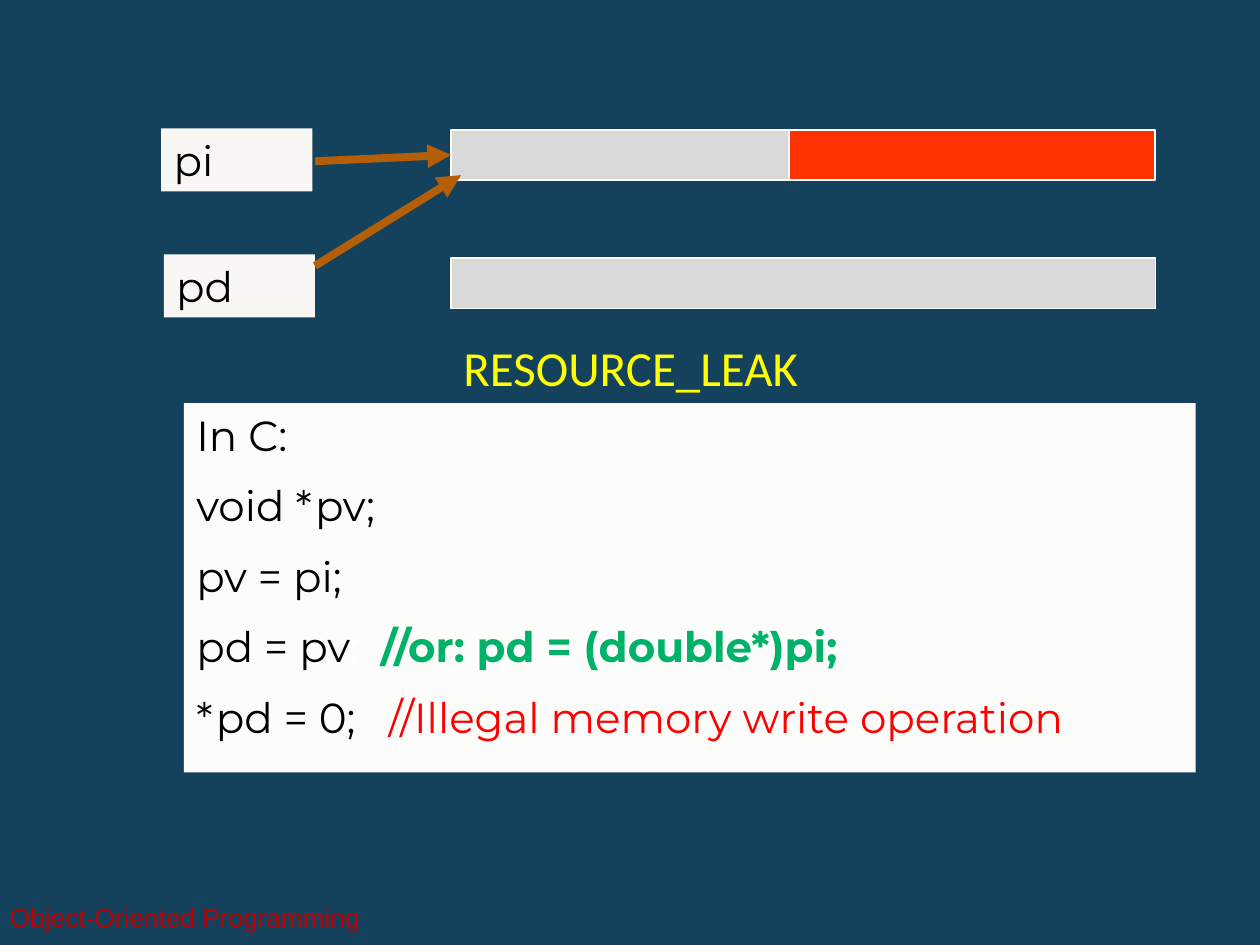
import pptx
import pptx.dml.color
import pptx.enum.shapes
import pptx.enum.text
import pptx.oxml
import pptx.oxml.ns
import pptx.util

COLORS = {
    "background": "14425D", "pointer": "F8F7F4", "memory": "D9D9D9",
    "overrun": "FF3300", "border": "FFFFFF", "arrow": "B45F07",
    "footer": "C00000", "heading": "FFFF00", "panel": "FCFCFA",
    "code": "000000", "faint": "FFFFFF", "valid": "00B16A", "illegal": "FF0000",
}

deck = pptx.Presentation()
deck.slide_width = pptx.util.Inches(10)
deck.slide_height = pptx.util.Inches(7.5)
COLUMN = deck.slide_width / 100
ROW = deck.slide_height / 75


def rgb(name):
    return pptx.dml.color.RGBColor.from_string(COLORS[name])


def add_block(column, row, columns, rows, fill=None, border=None, lines=(),
              font="Montserrat", size=24, anchor="MIDDLE"):
    """Add a rectangle on the grid; each line is a list of (text, color, bold)."""
    box = (int(column * COLUMN), int(row * ROW), int(columns * COLUMN), int(rows * ROW))
    if fill:
        block = slide.shapes.add_shape(pptx.enum.shapes.MSO_SHAPE.RECTANGLE, *box)
        block.shadow.inherit = False
        block.fill.solid()
        block.fill.fore_color.rgb = rgb(fill)
        if border:
            block.line.color.rgb = rgb(border)
            block.line.width = pptx.util.Pt(1)
        else:
            block.line.fill.background()
    else:
        block = slide.shapes.add_textbox(*box)
    frame = block.text_frame
    frame.word_wrap = True
    frame.vertical_anchor = pptx.enum.text.MSO_ANCHOR[anchor]
    for number, line in enumerate(lines):
        paragraph = frame.add_paragraph() if number else frame.paragraphs[0]
        paragraph.alignment = pptx.enum.text.PP_ALIGN.LEFT
        if number:
            paragraph.space_before = pptx.util.Pt(11.5)
        for text, color, bold in line:
            run = paragraph.add_run()
            run.text = text
            run.font.name = font
            run.font.size = pptx.util.Pt(size)
            run.font.bold = bold
            run.font.color.rgb = rgb(color)


slide = deck.slides.add_slide(deck.slide_layouts[6])
slide.background.fill.solid()
slide.background.fill.fore_color.rgb = rgb("background")

# Pointers
for pointer, column, row in (("pi", 12.8, 10.2), ("pd", 13, 20.2)):
    add_block(column, row, 12, 5, "pointer", lines=[[(pointer, "code", False)]])

# Memory: an int, and the double that reaches beyond it
MEMORY_LEFT, INT_SPAN, DOUBLE_SPAN = 35.8, 26.8, 55.9
INT_ROW, DOUBLE_ROW = 10.3, 20.5
add_block(MEMORY_LEFT, INT_ROW, INT_SPAN, 4, "memory", "border")
add_block(MEMORY_LEFT, DOUBLE_ROW, DOUBLE_SPAN, 4, "memory", "border")

for start_row, end_column, end_row in ((12.8, MEMORY_LEFT, 12.3), (21.1, 36.6, 13.9)):
    arrow = slide.shapes.add_connector(
        pptx.enum.shapes.MSO_CONNECTOR.STRAIGHT,
        int(25 * COLUMN), int(start_row * ROW), int(end_column * COLUMN), int(end_row * ROW))
    arrow.line.color.rgb = rgb("arrow")
    arrow.line.width = pptx.util.Pt(4.5)
    head = pptx.oxml.parse_xml(f'<a:tailEnd {pptx.oxml.ns.nsdecls("a")} type="triangle"/>')
    arrow.line._get_or_add_ln().append(head)
    arrow._element.spPr.append(
        pptx.oxml.parse_xml(f'<a:effectLst {pptx.oxml.ns.nsdecls("a")}/>'))

add_block(MEMORY_LEFT + INT_SPAN, INT_ROW, DOUBLE_SPAN - INT_SPAN, 4, "overrun", "border")

# Text
add_block(-0.2, 70.8, 40.1, 4, font="Arial", size=15,
          lines=[[("Object-Oriented Programming", "footer", False)]])
add_block(MEMORY_LEFT, 26.3, 37.4, 5.7, font="Calibri", size=28, anchor="TOP",
          lines=[[("RESOURCE_LEAK", "heading", False)]])

code_lines = [
    [("In C:", "code", False)],
    [("void *pv;", "code", False)],
    [("pv = pi;", "code", False)],
    [("pd = pv", "code", False), (";  ", "faint", False),
     ("//or: pd = (double*)pi;", "valid", True)],
    [("*pd = 0;   ", "code", False),
     ("//Illegal memory write operation", "illegal", False)],
]
add_block(14.6, 32, 80.3, 29.3, "panel", lines=code_lines, anchor="TOP")

deck.save("out.pptx")
